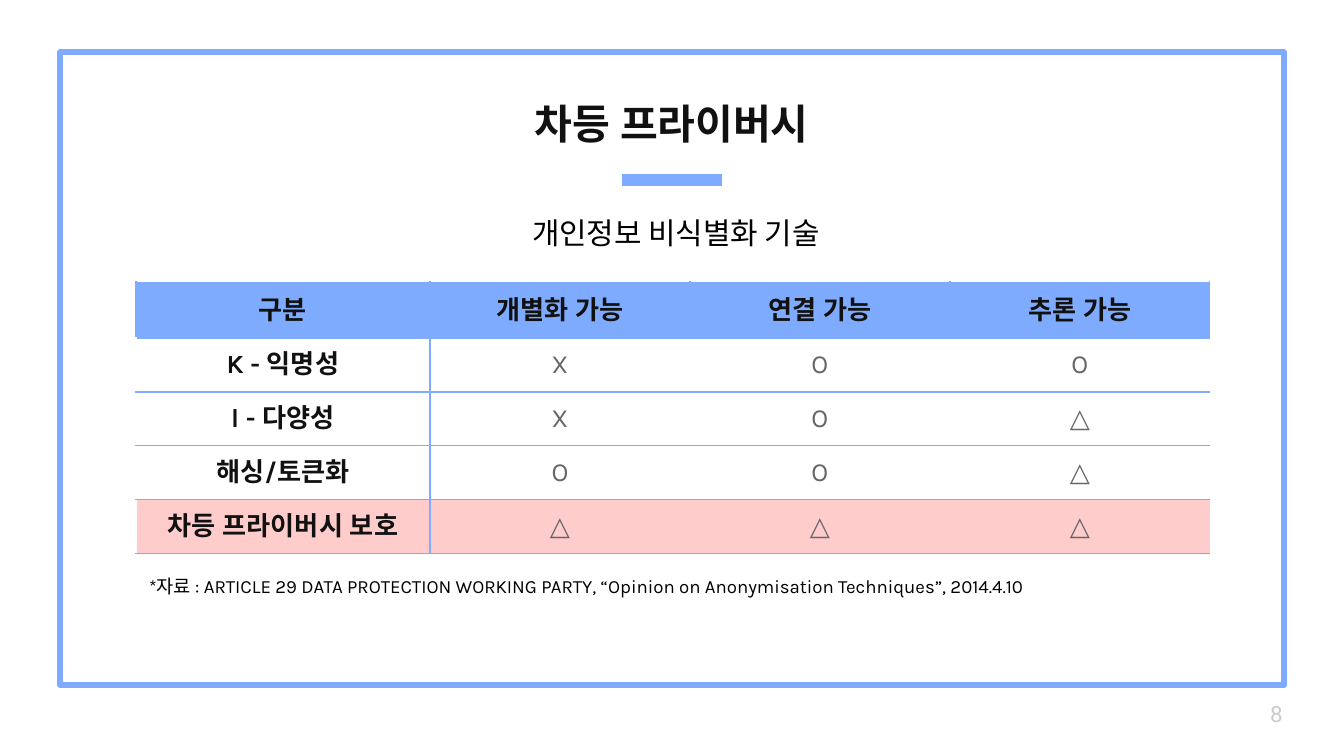
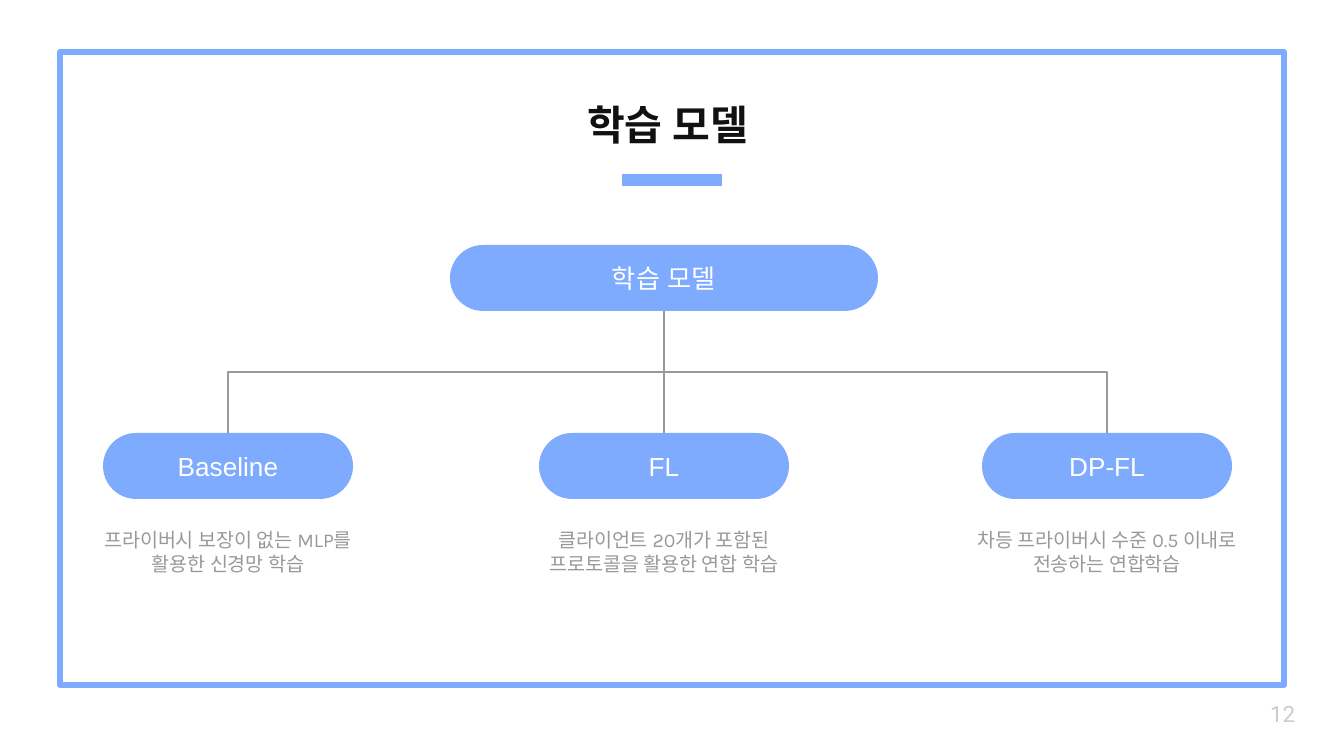
from lxml.etree import SubElement
from pptx import Presentation
from pptx.dml.color import RGBColor
from pptx.enum.shapes import MSO_CONNECTOR as LINK, MSO_SHAPE as SHAPE
from pptx.enum.text import MSO_ANCHOR as ANCHOR, PP_ALIGN as ALIGN
from pptx.oxml.ns import qn
from pptx.util import Pt

SCALE = 914400 / 134.4  # EMU in one px
WIDTH, HEIGHT = 1344, 756
INSET = 13

COLORS = {
    "accent": "7FABFF",
    "highlight": "FFCCCC",
    "white": "FFFFFF",
    "black": "000000",
    "ink": "111111",
    "mark": "666666",
    "muted": "999999",
    "number": "CCCCCC",
}


def px(length):
    return round(length * SCALE)


def rgb(name):
    return RGBColor.from_string(COLORS[name])


def write(frame, text, size, color, font="Karla", bold=False, align=ALIGN.CENTER):
    para = frame.paragraphs[0]
    para.text = text
    para.alignment = align
    para.font.size = Pt(size)
    para.font.bold = bold
    para.font.name = font
    para.font.color.rgb = rgb(color)
    # East Asian letters use the same font
    SubElement(para._p.pPr.find(qn("a:defRPr")), qn("a:ea"), typeface=font)


def set_insets(frame, anchor):
    frame.word_wrap = True
    frame.vertical_anchor = anchor
    frame.margin_left = frame.margin_right = px(INSET)
    frame.margin_top = frame.margin_bottom = px(INSET)


def add_text(page, box, text, size, color, anchor=ANCHOR.TOP, **style):
    frame = page.shapes.add_textbox(*map(px, box)).text_frame
    set_insets(frame, anchor)
    write(frame, text, size, color, **style)


def add_line(page, kind, start, end, color, width):
    line = page.shapes.add_connector(kind, *map(px, (*start, *end)))
    line.line.color.rgb = rgb(color)
    line.line.width = Pt(width)
    SubElement(line._element.spPr, qn("a:effectLst"))
    return line


# Frame, title with its bar, and page number
def add_page(deck, title, title_box, number):
    page = deck.slides.add_slide(deck.slide_layouts[6])
    border = page.shapes.add_shape(SHAPE.RECTANGLE, *map(px, (60, 52, 1224, 633)))
    border.shadow.inherit = False
    border.fill.background()
    border.line.color.rgb = rgb("accent")
    border.line.width = Pt(3)
    SubElement(border._element.spPr.find(qn("a:ln")), qn("a:round"))
    add_line(page, LINK.STRAIGHT, (622, 180), (722, 180), "accent", 6)
    add_text(page, title_box, title, 22, "ink", ANCHOR.BOTTOM, bold=True)
    add_text(page, (1257, 685, 81, 58), str(number), 12, "number", ANCHOR.MIDDLE,
             font="Roboto", align=ALIGN.LEFT)
    return page


# Comparison table
def set_borders(cell, **edges):
    properties = cell._tc.get_or_add_tcPr()
    for index, side in enumerate("LRTB"):
        color, width = edges.get(side, (None, 0))
        line = properties.makeelement(qn(f"a:ln{side}"), {"w": str(Pt(width))})
        if color:
            fill = SubElement(line, qn("a:solidFill"))
            SubElement(fill, qn("a:srgbClr"), val=COLORS[color])
        else:
            SubElement(line, qn("a:noFill"))
        properties.insert(index, line)


def add_comparison(page, box, rows, widths):
    table = page.shapes.add_table(len(rows), len(widths), *map(px, box)).table
    table.horz_banding = False
    for column, width in zip(table.columns, widths):
        column.width = px(width)
    thin = ("accent", 0.75)
    for r, row in enumerate(rows):
        table.rows[r].height = px(box[3] / len(rows))
        fill = "accent" if r == 0 else "highlight" if r == len(rows) - 1 else "white"
        for c, text in enumerate(row):
            cell = table.cell(r, c)
            cell.fill.solid()
            cell.fill.fore_color.rgb = rgb(fill)
            cell.vertical_anchor = ANCHOR.MIDDLE
            cell.margin_left = cell.margin_right = px(INSET)
            cell.margin_top = cell.margin_bottom = px(9)
            heading = r == 0 or c == 0
            write(cell.text_frame, text, 14, "ink" if heading else "mark", bold=heading)
            edges = {"T": thin, "B": thin}
            if r == 0:
                edges.update(T=("accent", 3), L=thin, R=thin)
            elif c == 0:
                edges.update(L=("white", 0.75), R=thin)
            elif c == 1:
                edges.update(L=thin)
            set_borders(cell, **edges)


def build_privacy(deck):
    page = add_page(deck, "차등 프라이버시", (298, 86, 747, 75), 8)
    rows = [
        ("구분", "개별화 가능", "연결 가능", "추론 가능"),
        ("K - 익명성", "X", "O", "O"),
        ("l - 다양성", "X", "O", "△"),
        ("해싱/토큰화", "O", "O", "△"),
        ("차등 프라이버시 보호", "△", "△", "△"),
    ]
    add_comparison(page, (136, 284, 1074, 270), rows, (294, 260, 260, 260))
    add_text(page, (136, 564, 1054, 34),
             "*자료 : ARTICLE 29 DATA PROTECTION WORKING PARTY, "
             "“Opinion on Anonymisation Techniques”, 2014.4.10",
             10, "black", align=ALIGN.LEFT)
    add_text(page, (321, 202, 710, 58), "개인정보 비식별화 기술", 16, "black")


# Tree of models
def add_pill(page, box, text):
    pill = page.shapes.add_shape(SHAPE.ROUNDED_RECTANGLE, *map(px, box))
    pill.adjustments[0] = 0.5
    pill.shadow.inherit = False
    pill.fill.solid()
    pill.fill.fore_color.rgb = rgb("accent")
    pill.line.fill.background()
    set_insets(pill.text_frame, ANCHOR.MIDDLE)
    write(pill.text_frame, text, 14, "white", font="Arial")


def add_branch(page, start, end):
    """Leave start downwards, turn halfway, and reach end from above."""
    (x1, y1), (x2, y2) = start, end
    if x1 == x2:
        add_line(page, LINK.STRAIGHT, start, end, "muted", 0.75)
        return
    drop, reach = y2 - y1, abs(x2 - x1)
    # The elbow runs sideways, so lay it flat round its centre and turn it
    left, top = (x1 + x2 - drop) / 2, (y1 + y2 - reach) / 2
    near, far = (left, left + drop) if x2 < x1 else (left + drop, left)
    branch = add_line(page, LINK.ELBOW, (near, top), (far, top + reach), "muted", 0.75)
    turn = 90 if x2 < x1 else 270
    branch._element.spPr.find(qn("a:xfrm")).set("rot", str(turn * 60000))


def add_tree(page, box, root, models):
    left, top, width, height = box
    pill_width, pill_height, note_width = 250, 66, 310
    middle = left + width // 2
    row_top = top + 188
    add_pill(page, (middle - 214, top, 428, pill_height), root)
    for center, name, note in models:
        center += left
        add_branch(page, (middle, top + pill_height), (center, row_top))
        add_pill(page, (center - pill_width // 2, row_top, pill_width, pill_height), name)
        add_text(page, (center - note_width // 2, row_top + 82, note_width, height - 270),
                 note, 10.5, "muted")


def build_models(deck):
    page = add_page(deck, "학습 모델", (410, 87, 515, 75), 12)
    models = [
        (125, "Baseline", "프라이버시 보장이 없는 MLP를 활용한 신경망 학습"),
        (561, "FL", "클라이언트 20개가 포함된 프로토콜을 활용한 연합 학습"),
        (1004, "DP-FL", "차등 프라이버시 수준 0.5 이내로 전송하는 연합학습"),
    ]
    add_tree(page, (103, 245, 1122, 336), "학습 모델", models)


def main():
    deck = Presentation()
    deck.slide_width, deck.slide_height = px(WIDTH), px(HEIGHT)
    build_privacy(deck)
    build_models(deck)
    deck.save("out.pptx")


if __name__ == "__main__":
    main()
